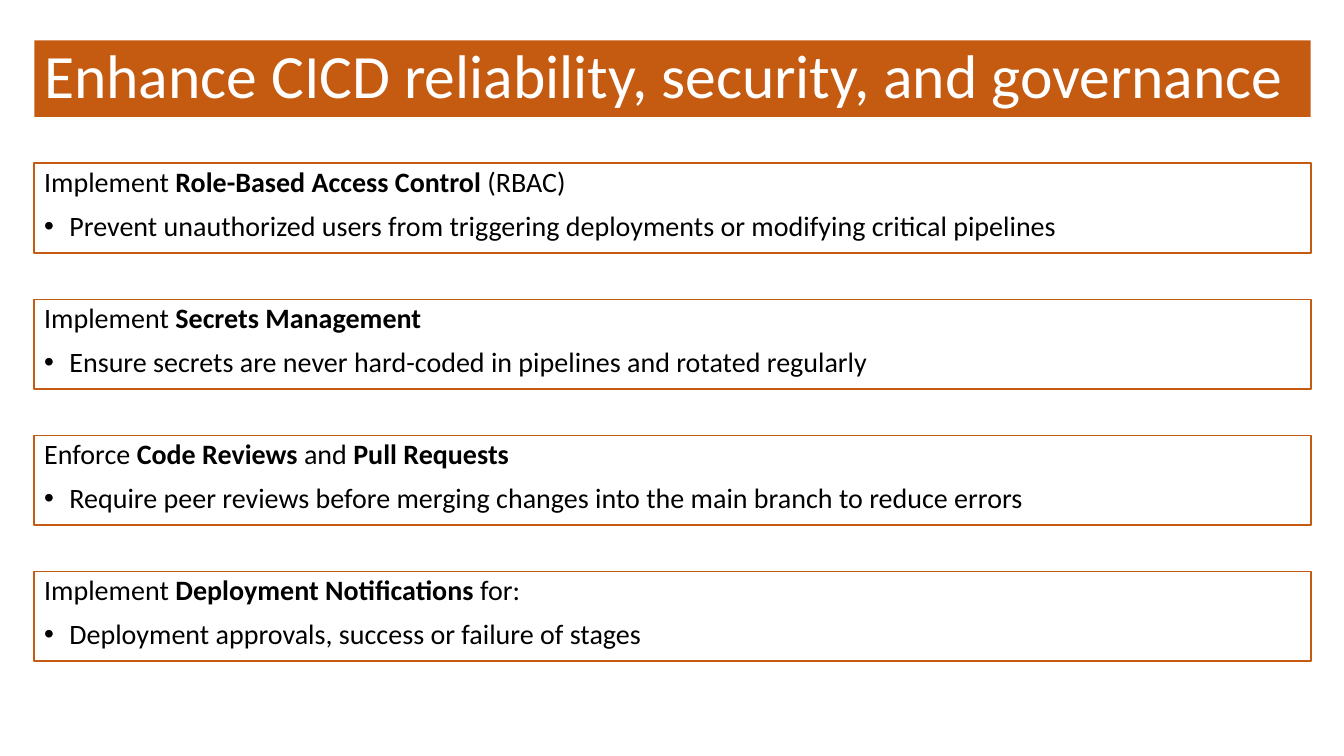
from lxml import etree
from pptx import Presentation
from pptx.dml.color import RGBColor
from pptx.enum.text import MSO_ANCHOR
from pptx.oxml.ns import qn
from pptx.util import Pt

PX = 9144  # EMU per px, 100 px to the inch
MIDDLE = MSO_ANCHOR.MIDDLE
ORANGE = RGBColor(0xC5, 0x5A, 0x11)
WHITE = RGBColor(0xFF, 0xFF, 0xFF)
BLACK = RGBColor(0x00, 0x00, 0x00)

LEFT, WIDTH = 34, 1266
TITLE_TOP, TITLE_HEIGHT = 40, 76
FIRST_TOP, PRACTICE_HEIGHT, PITCH = 162, 89, 135
INDENT = 25

# Each practice: heading as (text, bold) spans, then its bullet
PRACTICES = [
    ([("Implement ", False), ("Role-Based Access Control ", True), ("(RBAC)", False)],
     "Prevent unauthorized users from triggering deployments or modifying critical pipelines"),
    ([("Implement ", False), ("Secrets Management", True)],
     "Ensure secrets are never hard-coded in pipelines and rotated regularly"),
    ([("Enforce ", False), ("Code Reviews ", True), ("and ", False), ("Pull Requests", True)],
     "Require peer reviews before merging changes into the main branch to reduce errors"),
    ([("Implement ", False), ("Deployment Notifications ", True), ("for:", False)],
     "Deployment approvals, success or failure of stages"),
]

deck = Presentation()
deck.slide_width, deck.slide_height = 1333 * PX, 750 * PX
page = deck.slides.add_slide(deck.slide_layouts[6])


def add_box(top, height):
    box = page.shapes.add_textbox(LEFT * PX, top * PX, WIDTH * PX, height * PX)
    box.text_frame.word_wrap = True
    return box


def style_paragraph(para, size, color):
    para.line_spacing = 0.9
    para.font.name = "Calibri"
    para.font.size = Pt(size)
    para.font.color.rgb = color


title = add_box(TITLE_TOP, TITLE_HEIGHT)
title.fill.solid()
title.fill.fore_color.rgb = ORANGE
title.text_frame.vertical_anchor = MIDDLE
title_para = title.text_frame.paragraphs[0]
title_para.text = "Enhance CICD reliability, security, and governance"
style_paragraph(title_para, 44, WHITE)

for row, (heading, detail) in enumerate(PRACTICES):
    box = add_box(FIRST_TOP + row * PITCH, PRACTICE_HEIGHT)
    box.line.color.rgb = ORANGE
    box.line.width = Pt(1.25)

    heading_para = box.text_frame.paragraphs[0]
    for text, bold in heading:
        span = heading_para.add_run()
        span.text = text
        span.font.bold = bold

    detail_para = box.text_frame.add_paragraph()
    detail_para.text = detail

    for para in (heading_para, detail_para):
        style_paragraph(para, 20, BLACK)
        para.space_before = Pt(10)

    properties = detail_para._p.get_or_add_pPr()
    properties.set("marL", str(INDENT * PX))
    properties.set("indent", str(-INDENT * PX))
    bullet_font = etree.Element(qn("a:buFont"), typeface="Arial")
    bullet = etree.Element(qn("a:buChar"), char="•")
    defaults = properties.find(qn("a:defRPr"))
    defaults.addprevious(bullet_font)
    defaults.addprevious(bullet)

deck.save("out.pptx")
